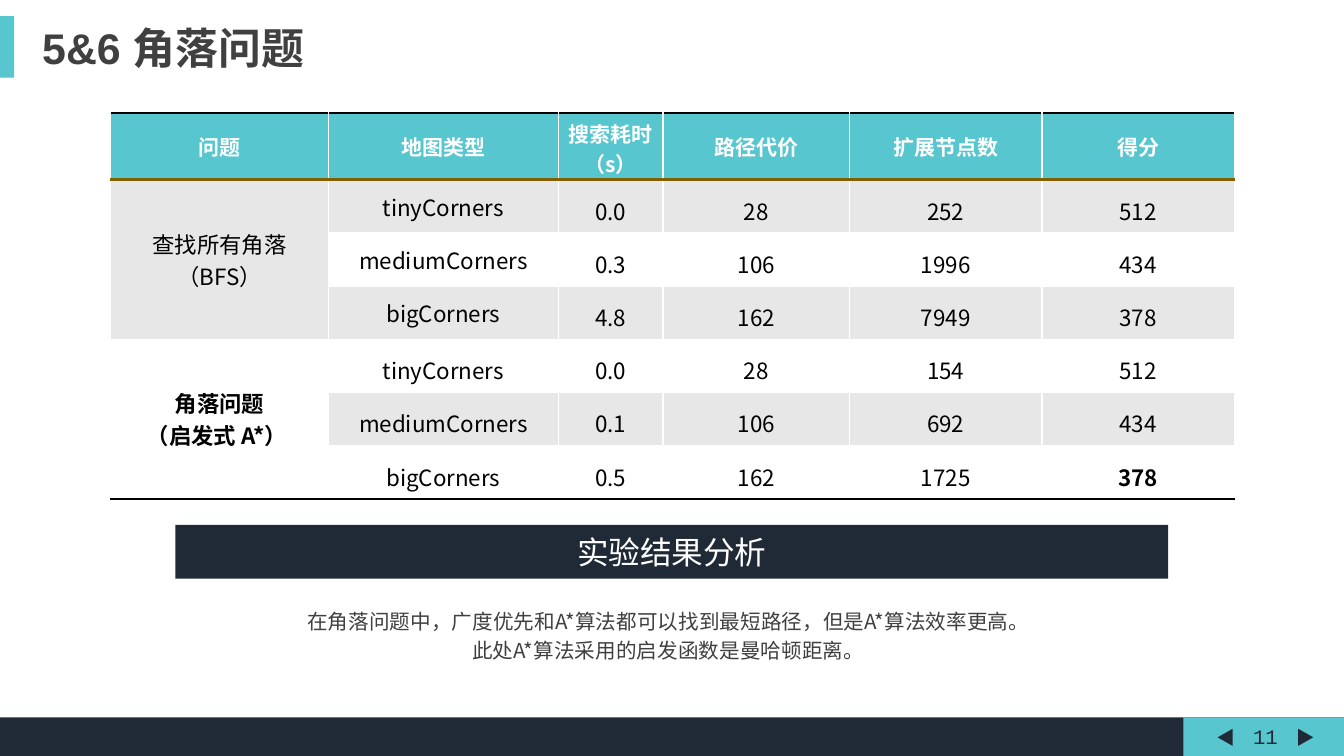
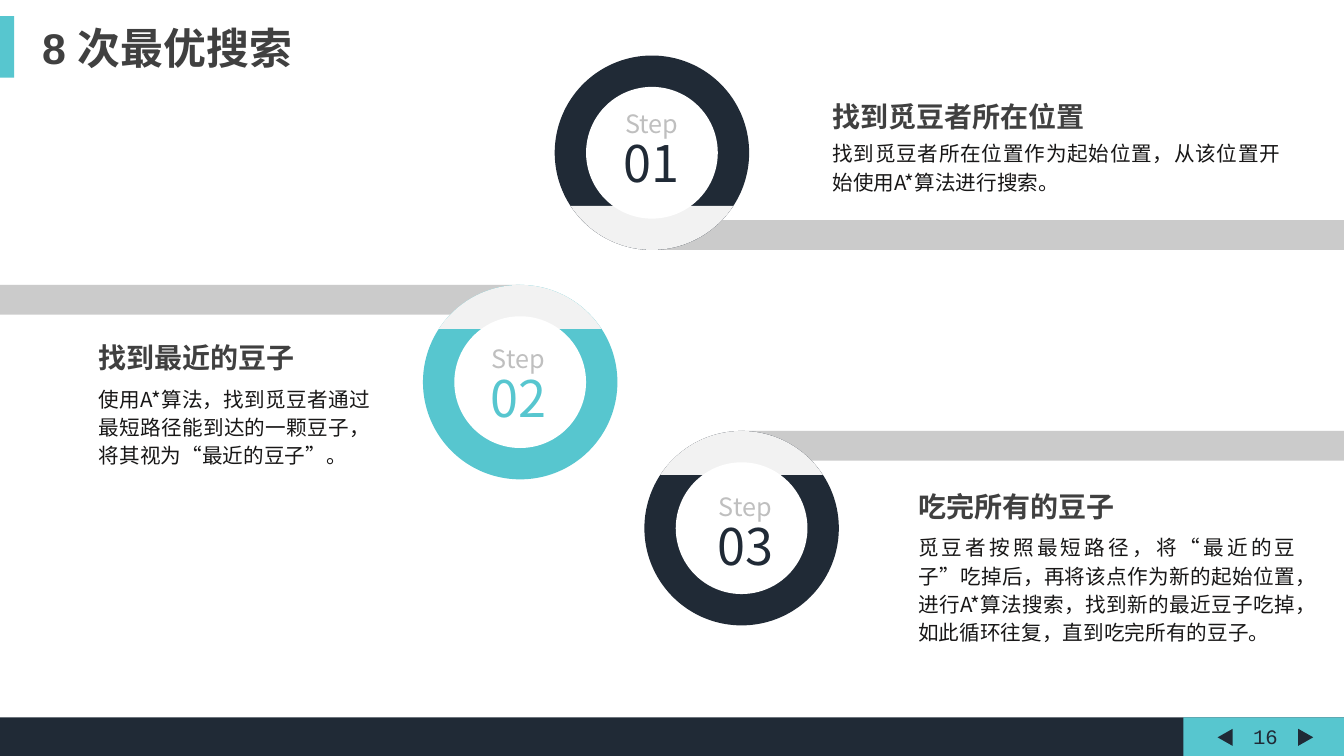
from dataclasses import dataclass
from math import asin, degrees

from lxml.etree import SubElement
from pptx import Presentation
from pptx.dml.color import RGBColor
from pptx.enum.shapes import MSO_SHAPE
from pptx.enum.text import MSO_ANCHOR, MSO_AUTO_SIZE, PP_ALIGN
from pptx.oxml.ns import qn
from pptx.util import Cm, Pt

DARK, TEAL, WHITE, BLACK = "202A36", "57C6CF", "FFFFFF", "000000"
HEADING, BODY, SILVER, PALE = "404040", "181717", "BFBFBF", "F2F2F2"
STRIPE, GOLD = "E7E7E7", "806000"
CJK_FONT = "Noto Sans CJK SC"
SLIDE_WIDTH, SLIDE_HEIGHT = 33.87, 19.05
FOOTER_TOP = 18.08
OUTER_RADIUS, INNER_RADIUS, CUT = 2.45, 1.66, 1.34
BAR_HEIGHT = 0.75
ADJUSTMENT_PER_DEGREE = 0.6


@dataclass(frozen=True)
class Box:
    left: float
    top: float
    width: float
    height: float

    def lengths(self) -> tuple:
        return Cm(self.left), Cm(self.top), Cm(self.width), Cm(self.height)


@dataclass(frozen=True)
class TextStyle:
    size: float
    color: str
    font: str = CJK_FONT
    bold: bool = False
    align: PP_ALIGN = PP_ALIGN.LEFT
    spacing: float = 1.0


@dataclass(frozen=True)
class Step:
    number: str
    color: str
    center: tuple[float, float]
    cut_below: bool
    bar_to_right: bool
    label: Box
    heading: str
    heading_box: Box
    body: str
    body_box: Box


TITLE_STYLE = TextStyle(30.6, HEADING, "Arial", bold=True)
PAGE_STYLE = TextStyle(14.7, DARK, "Courier New", align=PP_ALIGN.CENTER)
BANNER_STYLE = TextStyle(22.6, WHITE, align=PP_ALIGN.CENTER)
REMARK_STYLE = TextStyle(14.7, HEADING, align=PP_ALIGN.CENTER, spacing=1.2)
STEP_HEADING_STYLE = TextStyle(20, HEADING, bold=True)
STEP_BODY_STYLE = TextStyle(14.7, BODY, align=PP_ALIGN.JUSTIFY, spacing=1.14)

COLUMN_WIDTHS = (5.49, 5.79, 2.64, 4.7, 4.85, 4.85)
HEADER_HEIGHT, ROW_HEIGHT = 1.68, 1.34
RESULTS = (
    ("问题", "地图类型", "搜索耗时（s）", "路径代价", "扩展节点数", "得分"),
    ("查找所有角落\n（BFS）", "tinyCorners", "0.0", "28", "252", "512"),
    ("", "mediumCorners", "0.3", "106", "1996", "434"),
    ("", "bigCorners", "4.8", "162", "7949", "378"),
    ("角落问题\n（启发式 A*） ", "tinyCorners", "0.0", "28", "154", "512"),
    ("", "mediumCorners", "0.1", "106", "692", "434"),
    ("", "bigCorners", "0.5", "162", "1725", "378"),
)
GROUP_ROWS = (1, 4)
BOLD_CELLS = {(4, 0), (6, 5)}

STEPS = (
    Step("01", DARK, (16.43, 3.85), True, True, Box(15.09, 2.69, 2.67, 2.34),
         "找到觅豆者所在位置", Box(20.73, 2.39, 7.19, 1.12),
         "找到觅豆者所在位置作为起始位置，从该位置开始使用A*算法进行搜索。",
         Box(20.73, 3.35, 11.79, 1.68)),
    Step("02", TEAL, (13.11, 9.63), False, False, Box(11.73, 8.61, 2.67, 2.34),
         "找到最近的豆子", Box(2.24, 8.46, 7.19, 1.12),
         "使用A*算法，找到觅豆者通过最短路径能到达的一颗豆子，将其视为“最近的豆子”。",
         Box(2.24, 9.53, 7.34, 2.34)),
    Step("03", DARK, (18.69, 13.31), False, True, Box(17.45, 12.34, 2.67, 2.34),
         "吃完所有的豆子", Box(22.89, 12.22, 7.19, 1.12),
         "觅豆者按照最短路径，将“最近的豆子”吃掉后，再将该点作为新的起始位置，"
         "进行A*算法搜索，找到新的最近豆子吃掉，如此循环往复，直到吃完所有的豆子。",
         Box(22.89, 13.28, 10.01, 3.07)),
)


def rgb(color: str) -> RGBColor:
    return RGBColor.from_string(color)


def paint(shape, color: str) -> None:
    shape.shadow.inherit = False
    shape.fill.solid()
    shape.fill.fore_color.rgb = rgb(color)
    shape.line.fill.background()


def style_paragraph(paragraph, style: TextStyle) -> None:
    paragraph.alignment = style.align
    paragraph.line_spacing = style.spacing
    for run in paragraph.runs:
        run.font.size = Pt(style.size)
        run.font.bold = style.bold
        run.font.color.rgb = rgb(style.color)
        run.font.name = style.font
        SubElement(run.font._element, qn("a:ea"), typeface=CJK_FONT)


def write(text_frame, text: str, *styles: TextStyle) -> None:
    text_frame.text = text
    for index, paragraph in enumerate(text_frame.paragraphs):
        style_paragraph(paragraph, styles[min(index, len(styles) - 1)])


def add_block(slide, box: Box, color: str, preset=MSO_SHAPE.RECTANGLE, rotation: float = 0):
    shape = slide.shapes.add_shape(preset, *box.lengths())
    paint(shape, color)
    shape.rotation = rotation
    return shape


def add_text(slide, box: Box, text: str, *styles: TextStyle):
    text_frame = slide.shapes.add_textbox(*box.lengths()).text_frame
    text_frame.word_wrap = True
    write(text_frame, text, *styles)
    return text_frame


def add_page(presentation, title: str, title_width: float, number: str):
    slide = presentation.slides.add_slide(presentation.slide_layouts[5])
    heading = slide.shapes.title
    heading.left, heading.top, heading.width, heading.height = Box(
        0.81, 0.41, title_width, 1.57).lengths()
    heading.text_frame.word_wrap = True
    heading.text_frame.auto_size = MSO_AUTO_SIZE.NONE
    heading.text_frame.vertical_anchor = MSO_ANCHOR.TOP
    write(heading.text_frame, title, TITLE_STYLE)

    footer_height = SLIDE_HEIGHT - FOOTER_TOP
    add_block(slide, Box(0, FOOTER_TOP, SLIDE_WIDTH, footer_height), DARK)
    add_block(slide, Box(29.82, FOOTER_TOP, SLIDE_WIDTH - 29.82, footer_height), TEAL)
    for left, rotation in ((30.66, 270), (32.69, 90)):
        add_block(slide, Box(left, 18.39, 0.43, 0.38), DARK,
                  MSO_SHAPE.ISOSCELES_TRIANGLE, rotation)
    add_block(slide, Box(0, 0.41, 0.36, 1.55), TEAL)
    page_frame = add_text(slide, Box(31.32, 18.11, 1.14, 0.89), number, PAGE_STYLE)
    page_frame.word_wrap = False
    page_frame.vertical_anchor = MSO_ANCHOR.MIDDLE
    return slide


def add_border(cell, side: str, color: str, width: float) -> None:
    line = SubElement(cell._tc.get_or_add_tcPr(), qn(f"a:ln{side}"), w=str(Pt(width)))
    fill = SubElement(line, qn("a:solidFill"))
    SubElement(fill, qn("a:srgbClr"), val=color)


def format_cell(cell, row: int, column: int) -> None:
    last_row = len(RESULTS) - 1
    top = {0: (BLACK, 2), 1: (GOLD, 2.25)}.get(row, (WHITE, 1))
    bottom = {0: (GOLD, 2.25), last_row: (BLACK, 2)}.get(row, (WHITE, 1))
    if (row, column) == (GROUP_ROWS[-1], 0):
        bottom = (BLACK, 2)
    for side, border in (("L", (WHITE, 1)), ("R", (WHITE, 1)), ("T", top), ("B", bottom)):
        add_border(cell, side, *border)

    cell.fill.solid()
    cell.fill.fore_color.rgb = rgb(TEAL if row == 0 else STRIPE if row % 2 else WHITE)
    cell.vertical_anchor = MSO_ANCHOR.MIDDLE
    compact = row > 0 and (column > 1 or (column == 1 and row >= GROUP_ROWS[-1]))
    if compact:
        cell.margin_left = cell.margin_right = Cm(0.18)
        cell.margin_top = cell.margin_bottom = Cm(0)
    write(cell.text_frame, RESULTS[row][column], TextStyle(
        16 if row else 15, BLACK if row else WHITE,
        bold=row == 0 or (row, column) in BOLD_CELLS,
        align=PP_ALIGN.CENTER, spacing=1.25 if compact else 1.0))


def add_results_table(slide) -> None:
    box = Box(2.79, 2.85, sum(COLUMN_WIDTHS), HEADER_HEIGHT + ROW_HEIGHT * (len(RESULTS) - 1))
    table = slide.shapes.add_table(len(RESULTS), len(COLUMN_WIDTHS), *box.lengths()).table
    for column, width in zip(table.columns, COLUMN_WIDTHS):
        column.width = Cm(width)
    for index, row in enumerate(table.rows):
        row.height = Cm(ROW_HEIGHT if index else HEADER_HEIGHT)
        for column in range(len(COLUMN_WIDTHS)):
            format_cell(table.cell(index, column), index, column)
    for first in GROUP_ROWS:
        table.cell(first, 0).merge(table.cell(first + 2, 0))


def circle_box(center: tuple[float, float], radius: float) -> Box:
    return Box(center[0] - radius, center[1] - radius, 2 * radius, 2 * radius)


def add_ring(slide, step: Step) -> None:
    disc = circle_box(step.center, OUTER_RADIUS)
    add_block(slide, disc, step.color, MSO_SHAPE.OVAL)
    cap = add_block(slide, disc, PALE, MSO_SHAPE.CHORD)
    cut_angle = degrees(asin(CUT / OUTER_RADIUS))
    first = 0 if step.cut_below else 180
    cap.adjustments[0] = (first + cut_angle) * ADJUSTMENT_PER_DEGREE
    cap.adjustments[1] = (first + 180 - cut_angle) * ADJUSTMENT_PER_DEGREE
    add_block(slide, circle_box(step.center, INNER_RADIUS), WHITE, MSO_SHAPE.OVAL)


def add_bar(slide, step: Step) -> None:
    center_x, center_y = step.center
    top = center_y + OUTER_RADIUS - BAR_HEIGHT if step.cut_below else center_y - OUTER_RADIUS
    left, right = (center_x, SLIDE_WIDTH) if step.bar_to_right else (0, center_x)
    bar = add_block(slide, Box(left, top, right - left, BAR_HEIGHT), SILVER)
    color = bar._element.spPr.find(qn("a:solidFill"))[0]
    SubElement(color, qn("a:alpha"), val="80000")


def add_step(slide, step: Step) -> None:
    add_bar(slide, step)
    add_ring(slide, step)
    add_text(slide, step.label, f"Step\n{step.number}",
             TextStyle(18, SILVER, align=PP_ALIGN.CENTER, spacing=0.9),
             TextStyle(36, step.color, align=PP_ALIGN.CENTER, spacing=0.9))
    add_text(slide, step.heading_box, step.heading, STEP_HEADING_STYLE)
    add_text(slide, step.body_box, step.body, STEP_BODY_STYLE)


def build_corners_slide(presentation) -> None:
    slide = add_page(presentation, "5&6 角落问题", 7.77, "11")
    add_results_table(slide)
    banner = add_block(slide, Box(4.42, 13.23, 25.02, 1.35), DARK)
    banner.text_frame.vertical_anchor = MSO_ANCHOR.MIDDLE
    write(banner.text_frame, "实验结果分析", BANNER_STYLE)
    add_text(slide, Box(4.14, 15.09, 25.4, 1.7),
             "在角落问题中，广度优先和A*算法都可以找到最短路径，但是A*算法效率更高。\n"
             "此处A*算法采用的启发函数是曼哈顿距离。", REMARK_STYLE)


def build_search_slide(presentation) -> None:
    slide = add_page(presentation, "8 次最优搜索", 6.88, "16")
    for step in STEPS:
        add_step(slide, step)


def main() -> None:
    presentation = Presentation()
    presentation.slide_width = Cm(SLIDE_WIDTH)
    presentation.slide_height = Cm(SLIDE_HEIGHT)
    build_corners_slide(presentation)
    build_search_slide(presentation)
    presentation.save("out.pptx")


if __name__ == "__main__":
    main()
